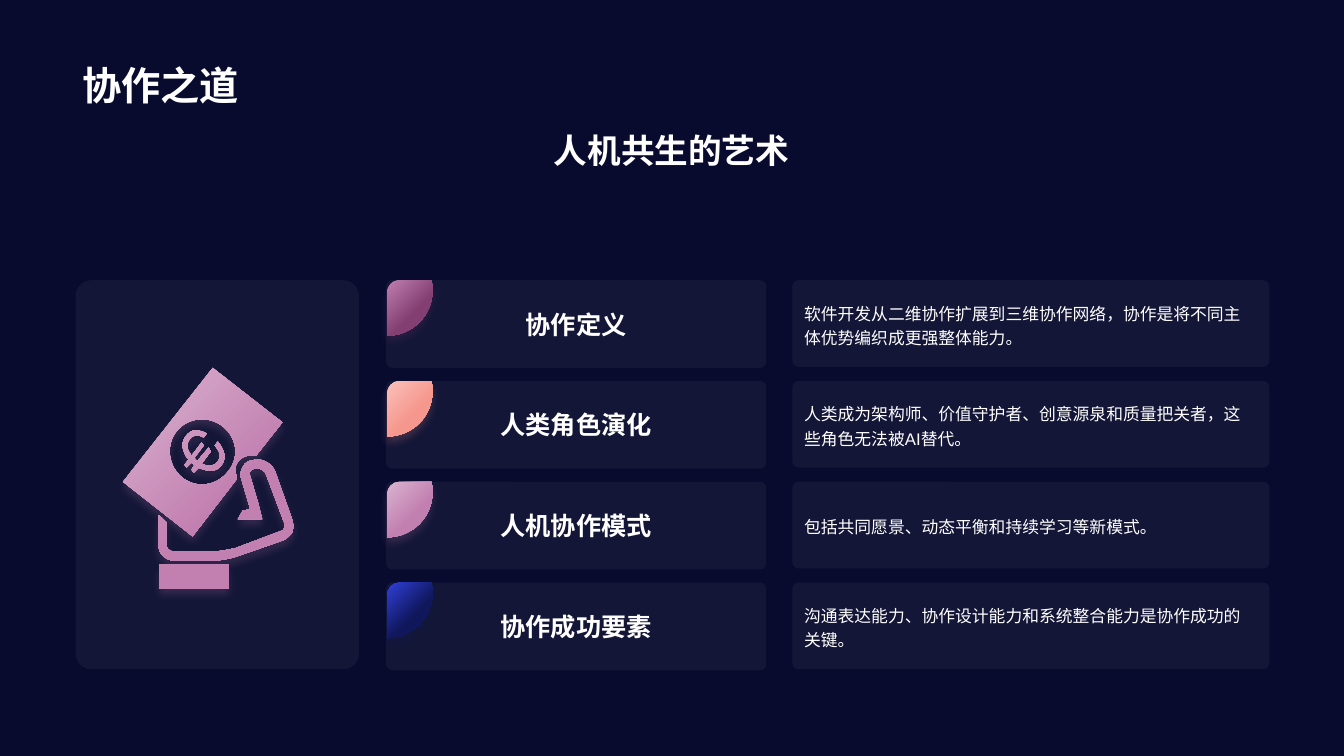
"""Build a dark slide on human and machine collaboration."""
from dataclasses import dataclass

from lxml import etree
from pptx import Presentation
from pptx import util as u
from pptx.dml.color import RGBColor
from pptx.enum import shapes, text
from pptx.oxml.ns import qn


@dataclass(frozen=True)
class Theme:
    """Hold the colours, font and type sizes of the slide."""

    font: str = "Arial"
    background: str = "080B2E"
    ink: str = "FFFFFF"
    panel: str = "F0F0F0"
    panel_opacity: int = 5
    plum: tuple = ("C17FB1", "833F72")
    coral: tuple = ("FAC1BB", "F6978D")
    pink: tuple = ("DAB3D0", "C280B1")
    blue: tuple = ("3141DB", "10175B")
    title: int = 28
    subtitle: int = 24
    heading: int = 18
    body: int = 12


THEME = Theme()
COLUMNS, ROWS = 13.33, 7.5
CELL = u.Inches(1)
LEFT, TOP, FULL_WIDTH = 0.72, 2.78, 11.88
ROW_PITCH = 1

TOPICS = [
    ("协作定义", "软件开发从二维协作扩展到三维协作网络，协作是将不同主体优势编织成更强整体能力。", THEME.plum),
    ("人类角色演化", "人类成为架构师、价值守护者、创意源泉和质量把关者，这些角色无法被AI替代。", THEME.coral),
    ("人机协作模式", "包括共同愿景、动态平衡和持续学习等新模式。", THEME.pink),
    ("协作成功要素", "沟通表达能力、协作设计能力和系统整合能力是协作成功的关键。", THEME.blue),
]

CORNER = ["M12,0 L44,0 L44,1 C45,4,45,7,45,10 C45,35,25,55,0,55 L0,55 L0,12 C0,6,5,0,12,0"]

BANKNOTE = (
    "M122,478 L191,532 L235,475 L234,470 C233,466,233,462,236,458 C238,455,242,453,246,452 "
    "L249,452 C250,451,252,452,254,452 L280,419 L211,365 L122,478"
)
COIN = (
    "M226,468 C215,482,195,485,181,474 C167,463,164,442,175,428 "
    "C186,414,207,412,221,423 C235,434,238,454,226,468"
)
CUFF = "M158,560 L227,560 L227,584 L158,584 L158,560"
HAND = (
    "M235,552 C229,554,219,556,213,556 L172,556 C164,556,157,549,157,540 L157,511 "
    "C160,513,163,516,165,518 L165,540 C165,544,168,547,172,547 L213,547 "
    "C218,547,227,545,233,544 L278,527 C280,527,281,526,282,524 C282,522,282,521,282,519 "
    "L264,471 C263,467,258,464,254,465 L252,465 C250,466,249,466,248,468 "
    "C247,469,247,470,248,472 L256,499 L260,515 L244,515 L236,515 L241,506 L244,506 "
    "C245,506,246,506,247,505 C247,504,247,503,247,501 L239,474 C238,470,239,466,241,463 "
    "C243,459,246,457,250,457 L253,456 C261,455,270,460,273,468 L290,516 "
    "C291,520,291,524,290,528 C288,531,285,534,281,536 L235,552"
)
EURO = (
    "M188,436 C186,439,185,442,186,445 C187,448,188,449,190,452 L200,439 L202,442 L193,454 "
    "C193,455,194,456,195,457 C196,457,196,457,196,457 L207,444 L209,448 L200,460 "
    "C202,461,205,462,207,462 C210,462,214,461,216,458 C218,455,219,452,217,448 "
    "C216,446,215,444,213,442 L216,438 C219,442,221,445,222,449 C224,453,222,458,220,461 "
    "C217,465,214,467,209,467 C206,467,201,466,197,464 L192,469 L190,466 L193,461 "
    "C193,461,192,461,191,460 C191,459,190,459,190,459 L185,464 L183,461 L187,456 "
    "C184,453,183,450,182,447 C180,442,181,437,184,433 C187,429,190,427,194,427 "
    "C198,427,201,428,205,430 L202,434 C199,432,197,432,194,432 C192,432,190,434,188,436"
)


def grid(*lengths):
    """Turn grid lengths into slide units."""
    return [round(length * CELL) for length in lengths]


def colour(code):
    """Return the colour for a hex code."""
    return RGBColor.from_string(code)


def write(shape, words, size, bold=False, align=text.PP_ALIGN.LEFT,
          anchor=text.MSO_ANCHOR.MIDDLE, spacing=None):
    """Write one paragraph into a shape with the given format."""
    frame = shape.text_frame
    frame.word_wrap = True
    frame.vertical_anchor = anchor
    paragraph = frame.paragraphs[0]
    paragraph.alignment = align
    paragraph.line_spacing = spacing
    run = paragraph.add_run()
    run.text = words
    run.font.name = THEME.font
    run.font.size = u.Pt(size)
    run.font.bold = bold
    run.font.color.rgb = colour(THEME.ink)


def add_label(slide, area, words, size, **style):
    """Add a text box."""
    write(slide.shapes.add_textbox(*grid(*area)), words, size, **style)


def add_panel(slide, area, rounding):
    """Add a translucent rounded panel."""
    panel = slide.shapes.add_shape(shapes.MSO_SHAPE.ROUNDED_RECTANGLE, *grid(*area))
    panel.adjustments[0] = rounding
    panel.shadow.inherit = False
    panel.fill.solid()
    panel.fill.fore_color.rgb = colour(THEME.panel)
    tint = panel.fill._xPr.find(qn("a:solidFill"))[0]
    etree.SubElement(tint, qn("a:alpha"), val=str(THEME.panel_opacity * 1000))
    panel.line.fill.background()
    return panel


def trace(outline, left, top):
    """Return the slide points of an outline given in hundredths of a cell."""
    points = []
    for command in outline.split():
        values = [float(value) for value in command[1:].split(",")]
        points += [tuple(grid(left + x / 100, top + y / 100))
                   for x, y in zip(values[::2], values[1::2])]
    return points


def bend(figure, outlines):
    """Merge the three segments of each curve command into one cubic curve."""
    contour = figure._element.spPr.find(".//" + qn("a:path"))
    segments = iter(list(contour))
    for outline in outlines:
        for command in outline.split():
            segment = next(segments)
            if command[0] == "C":
                segment.tag = qn("a:cubicBezTo")
                for extra in (next(segments), next(segments)):
                    segment.append(extra[0])
                    contour.remove(extra)
        next(segments)


def add_glow(shape, code):
    """Add a soft shadow below a shape."""
    shape.shadow.inherit = False
    effects = shape._element.spPr.find(qn("a:effectLst"))
    glow = etree.SubElement(effects, qn("a:outerShdw"), blurRad=str(u.Pt(6)),
                            dist=str(u.Pt(4)), dir="5400000", algn="t", rotWithShape="0")
    tint = etree.SubElement(glow, qn("a:srgbClr"), val=code)
    etree.SubElement(tint, qn("a:alpha"), val="20000")


def add_outline(slide, outlines, colours, left=0, top=0):
    """Add a freeform with a diagonal gradient and a soft shadow."""
    first, *others = [trace(outline, left, top) for outline in outlines]
    builder = slide.shapes.build_freeform(*first[0])
    builder.add_line_segments(first[1:], close=True)
    for points in others:
        builder.move_to(*points[0])
        builder.add_line_segments(points[1:], close=True)
    figure = builder.convert_to_shape()
    bend(figure, outlines)
    figure.fill.gradient()
    figure.fill.gradient_angle = 315
    for stop, position, code in zip(figure.fill.gradient_stops, (0, 0.6), colours):
        stop.position = position
        stop.color.rgb = colour(code)
    figure.line.fill.background()
    add_glow(figure, colours[1])


def add_topic(slide, row, heading, description, colours):
    """Add one row with its heading, corner and description."""
    top = TOP + row * ROW_PITCH
    write(add_panel(slide, (3.83, top, 3.77, 0.87), 0.07), heading, THEME.heading,
          bold=True, align=text.PP_ALIGN.CENTER)
    add_outline(slide, CORNER, colours, 3.84, top)
    write(add_panel(slide, (7.86, top, 4.73, 0.86), 0.07), description, THEME.body, spacing=1.2)


def main():
    """Build and save the slide."""
    deck = Presentation()
    deck.slide_width, deck.slide_height = grid(COLUMNS, ROWS)
    slide = deck.slides.add_slide(deck.slide_layouts[6])
    slide.background.fill.solid()
    slide.background.fill.fore_color.rgb = colour(THEME.background)
    add_label(slide, (LEFT, 0.14, FULL_WIDTH, 0.98), "协作之道", THEME.title,
              bold=True, anchor=text.MSO_ANCHOR.BOTTOM)
    add_panel(slide, (0.75, TOP, 2.81, 3.86), 0.056)
    add_outline(slide, [BANKNOTE, COIN, CUFF, HAND, EURO], THEME.pink)
    add_label(slide, (LEFT, 1.24, FULL_WIDTH, 0.79), "人机共生的艺术", THEME.subtitle,
              bold=True, align=text.PP_ALIGN.CENTER, anchor=text.MSO_ANCHOR.TOP)
    for row, topic in enumerate(TOPICS):
        add_topic(slide, row, *topic)
    deck.save("out.pptx")


if __name__ == "__main__":
    main()
